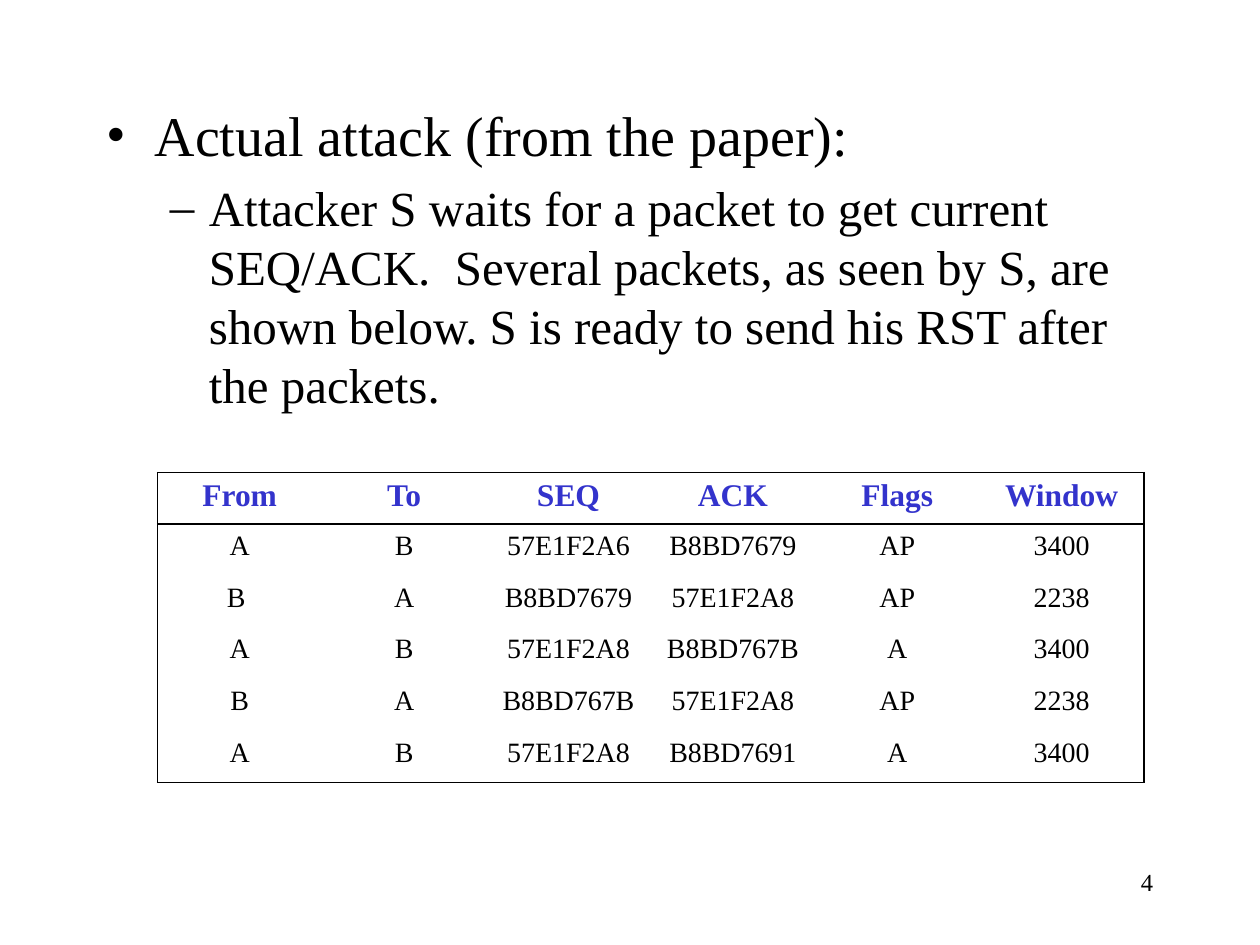
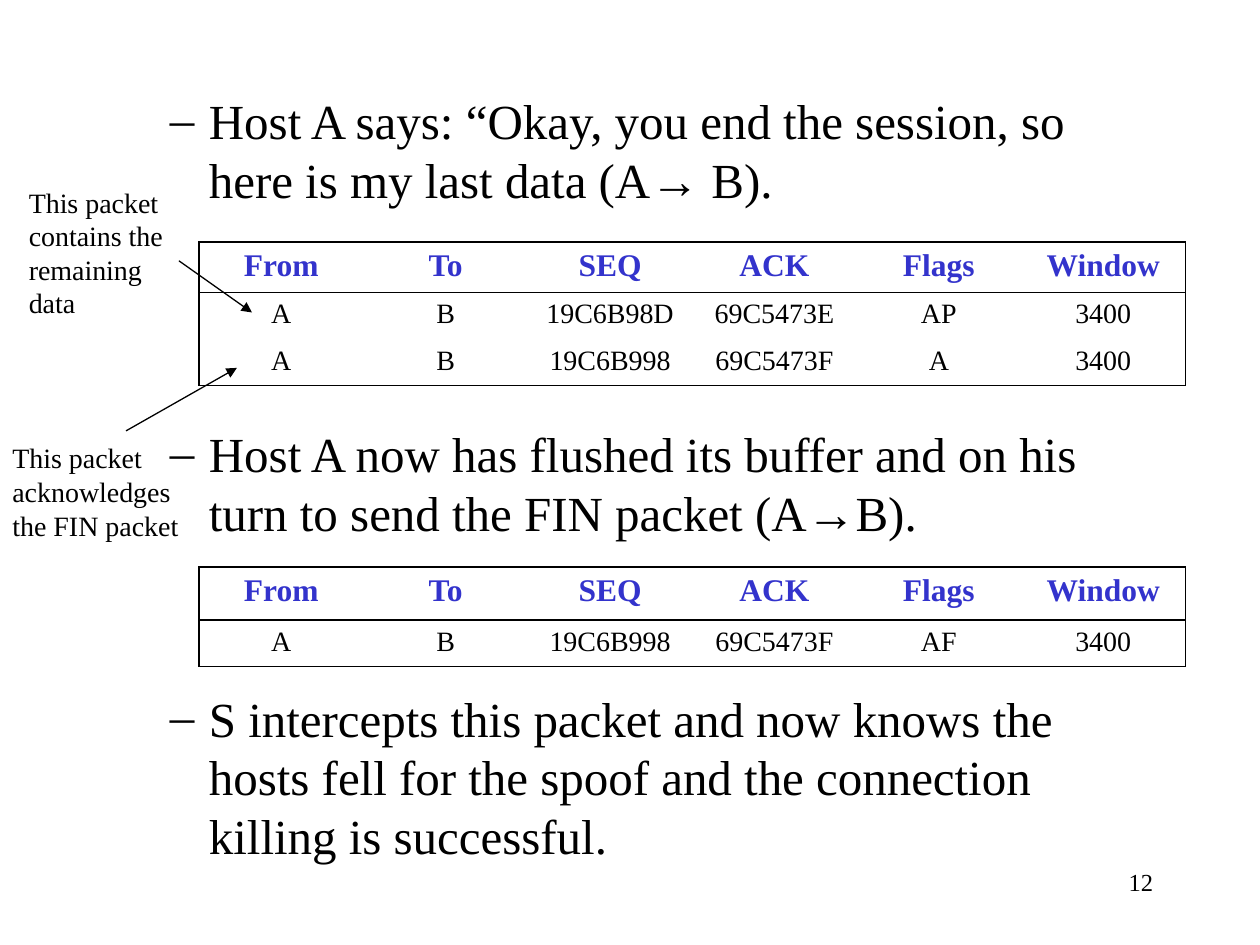
from pptx import Presentation
from pptx.dml.color import RGBColor
from pptx.enum.shapes import MSO_CONNECTOR
from pptx.enum.text import PP_ALIGN
from pptx.oxml.ns import qn
from pptx.util import Inches, Pt
from lxml import etree

LEFT, MID, RIGHT = PP_ALIGN.LEFT, PP_ALIGN.CENTER, PP_ALIGN.RIGHT
LINE = MSO_CONNECTOR.STRAIGHT
FONT = "Times New Roman"
COLORS = {"ink": "000000", "head": "3333CC"}
LEVELS = [
    {"size": 32, "left": 0.38, "hang": -0.38, "mark": "•"},
    {"size": 28, "left": 0.81, "hang": -0.31, "mark": "–"},
]
HEADS = ["From", "To", "SEQ", "ACK", "Flags", "Window"]
WIDTH = 7.83


def add(node, tag, **attrs):
    child = etree.SubElement(node, qn(tag))
    for key, value in attrs.items():
        child.set(key, str(value))
    return child


class Deck:
    def __init__(self):
        self.prs = Presentation()
        self.prs.slide_width, self.prs.slide_height = Inches(10), Inches(7.5)
        self.slide = None

    def page(self, number):
        self.slide = self.prs.slides.add_slide(self.prs.slide_layouts[6])
        self.note(str(number), 7.17, 6.83, 2.08, 0.5, 14, RIGHT)

    def frame(self, x, y, w, h):
        box = self.slide.shapes.add_textbox(*map(Inches, (x, y, w, h)))
        box.text_frame.word_wrap = True
        return box.text_frame

    def run(self, para, text, size, color="ink", bold=False):
        run = para.add_run()
        run.text = text
        font = run.font
        font.name, font.size, font.bold = FONT, Pt(size), bold
        font.color.rgb = RGBColor.from_string(COLORS[color])

    def note(self, text, x, y, w, h, size=16, align=LEFT):
        para = self.frame(x, y, w, h).paragraphs[0]
        para.alignment = align
        self.run(para, text, size)

    def space(self, para, gap=None):
        if gap:
            para.space_before = Pt(gap)
        else:
            before = add(para._p.get_or_add_pPr(), "a:spcBef")
            add(before, "a:spcPct", val=20000)

    def body(self, y, h, items):
        frame = self.frame(0.75, y, 8.5, h)
        for i, (level, text, gap) in enumerate(items):
            para = frame.add_paragraph() if i else frame.paragraphs[0]
            look = LEVELS[level]
            para.level = level
            self.space(para, gap)
            props = para._p.get_or_add_pPr()
            props.set("marL", str(Inches(look["left"])))
            props.set("indent", str(Inches(look["hang"])))
            add(props, "a:buFont", typeface=FONT)
            add(props, "a:buChar", char=look["mark"])
            self.run(para, text, look["size"])

    def edge(self, cell, sides):
        props = cell._tc.get_or_add_tcPr()
        for side in "LRTB":
            line = add(props, "a:ln" + side, w=Pt(1))
            if side in sides:
                fill = add(line, "a:solidFill")
                add(fill, "a:srgbClr", val=COLORS["ink"])
            else:
                add(line, "a:noFill")

    def table(self, x, y, top, step, data):
        rows = [HEADS] + data
        last, end = len(rows) - 1, len(HEADS) - 1
        grid = self.slide.shapes.add_table(
            len(rows), len(HEADS), Inches(x), Inches(y),
            Inches(WIDTH), Inches(top + step * last)).table
        grid.first_row = grid.horz_banding = False
        for col in grid.columns:
            col.width = Inches(WIDTH / len(HEADS))
        for r, row in enumerate(rows):
            grid.rows[r].height = Inches(step if r else top)
            for c, text in enumerate(row):
                cell = grid.cell(r, c)
                sides = ("L" if c == 0 else "") + ("R" if c == end else "")
                sides += ("T" if r < 2 else "") + ("B" if r in (0, last) else "")
                self.edge(cell, sides)
                cell.fill.background()
                para = cell.text_frame.paragraphs[0]
                para.alignment = MID
                self.space(para)
                if r:
                    self.run(para, text, 16)
                else:
                    self.run(para, text, 18, "head", True)

    def arrow(self, x1, y1, x2, y2):
        link = self.slide.shapes.add_connector(
            LINE, *map(Inches, (x1, y1, x2, y2)))
        link.line.width = Pt(0.75)
        link.line.color.rgb = RGBColor.from_string(COLORS["ink"])
        add(link.line._get_or_add_ln(), "a:tailEnd", type="triangle")
        add(link._element.spPr, "a:effectLst")


def main():
    deck = Deck()

    deck.page(4)
    deck.body(0.75, 5.92, [
        (0, "Actual attack (from the paper):", None),
        (1, "Attacker S waits for a packet to get current SEQ/ACK.  Several "
            "packets, as seen by S, are shown below. S is ready to send his "
            "RST after the packets.", None),
    ])
    deck.table(1.25, 3.75, 0.41, 0.41, [
        ["A", "B", "57E1F2A6", "B8BD7679", "AP", "3400"],
        ["B ", "A", "B8BD7679", "57E1F2A8", "AP", "2238"],
        ["A", "B", "57E1F2A8", "B8BD767B", "A", "3400"],
        ["B", "A", "B8BD767B", "57E1F2A8", "AP", "2238"],
        ["A", "B", "57E1F2A8", "B8BD7691", "A", "3400"],
    ])

    deck.page(12)
    deck.body(0.67, 6, [
        (1, "Host A says: “Okay, you end the session, so here is my last "
            "data (A→ B).", None),
        (1, "Host A now has flushed its buffer and on his turn to send the "
            "FIN packet (A→B).", 123),
        (1, "S intercepts this packet and now knows the hosts fell for the "
            "spoof and the connection killing is successful.", 84),
    ])
    deck.table(1.58, 1.92, 0.4, 0.37, [
        ["A", "B", "19C6B98D", "69C5473E", "AP", "3400"],
        ["A", "B", "19C6B998", "69C5473F", "A", "3400"],
    ])
    deck.table(1.58, 4.5, 0.42, 0.37, [
        ["A", "B", "19C6B998", "69C5473F", "AF", "3400"],
    ])
    deck.note("This packet contains the remaining data", 0.13, 1.42, 1.29, 1.18)
    deck.arrow(1.42, 2.07, 2, 2.48)
    deck.arrow(1, 3.42, 1.88, 2.92)
    deck.note("This packet acknowledges the FIN packet", 0, 3.45, 1.58, 0.91)

    deck.prs.save("out.pptx")


if __name__ == "__main__":
    main()
